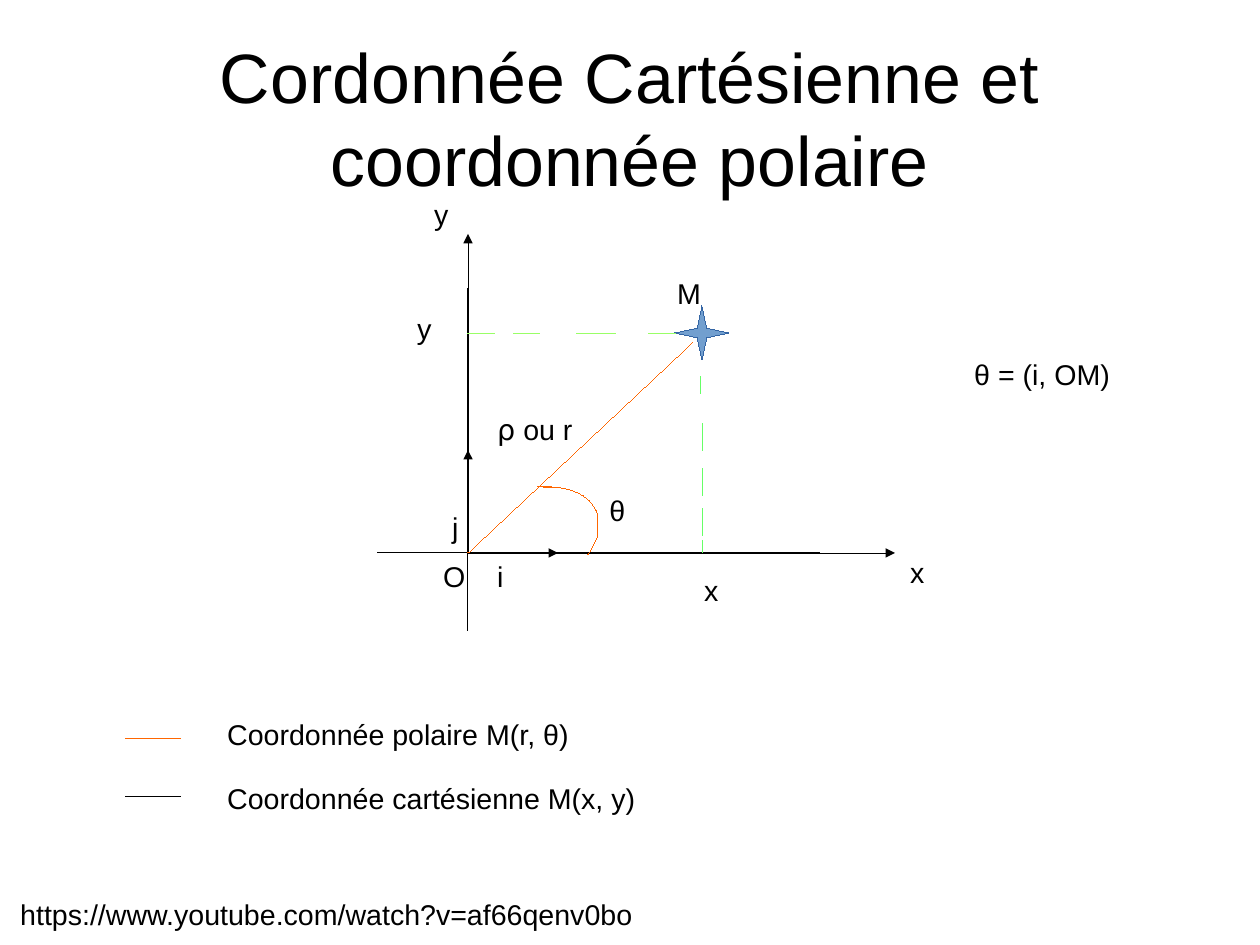
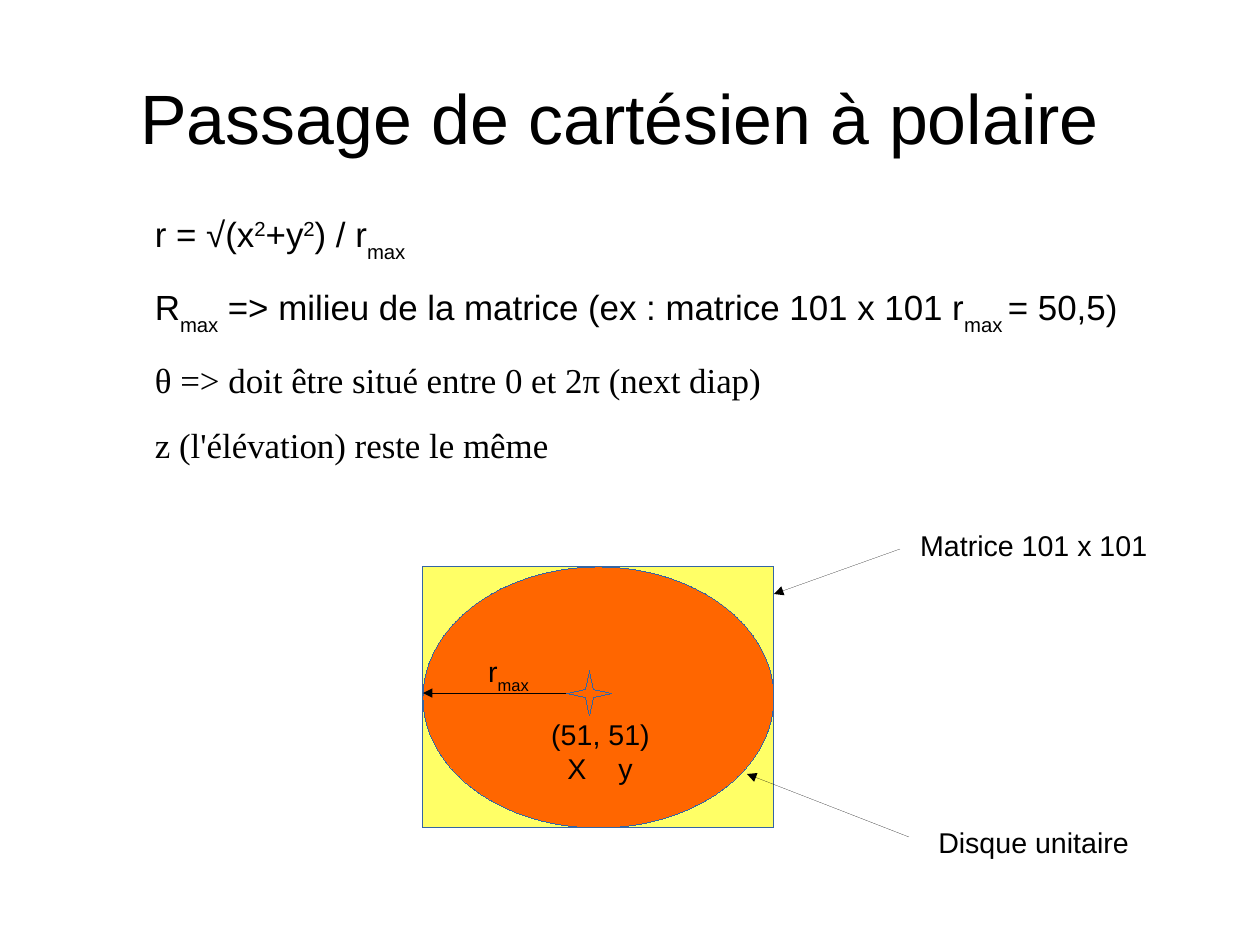
"""Build two slides on Cartesian and polar coordinates."""
from lxml.etree import SubElement
from pptx import Presentation
from pptx.dml.color import RGBColor as Rgb
from pptx.enum.shapes import MSO_CONNECTOR as Link, MSO_SHAPE as Preset
from pptx.enum.text import MSO_ANCHOR as Anchor, PP_ALIGN as Align
from pptx.oxml.ns import qn
from pptx.util import Pt

PX = 8000
HAIRLINE = 1
SLIDE = (1260, 945)
COLORS = {
    "black": "000000", "orange": "FF6600", "yellow": "FFFF66", "blue": "729FCF",
    "outline": "3465A4", "lime": "99FF66", "green": "66FF66",
}
TITLE_BOX = (63, 38, 1134, 158)
LABEL_HEIGHT = 43
INSETS = ("margin_left", "margin_top", "margin_right", "margin_bottom")
TITLE = {"size": Pt(44), "name": "Arial"}
BODY = {"size": Pt(22), "name": "Arial"}
SERIF = {"size": Pt(22), "name": "Times New Roman"}
LABEL = {"size": Pt(18), "name": "Arial"}
GREEK = {"size": Pt(18), "name": "DejaVu Sans"}
SUPER, SUB = 33000, -33000

ORIGIN_X, ORIGIN_Y = 468, 553
POINT_X, POINT_Y = 702, 333
X_DASHES = [(468, 495), (513, 540), (576, 616), (648, 675)]
Y_DASHES = [(423, 450), (468, 495), (509, 536), (540, 553)]
AXIS_LINES = [
    (ORIGIN_X, 288, ORIGIN_X, 630, "black", False),
    (820, ORIGIN_Y, 378, ORIGIN_Y, "black", False),
    (ORIGIN_X, ORIGIN_Y, ORIGIN_X, 450, "black", True),
    (ORIGIN_X, ORIGIN_Y, 558, ORIGIN_Y, "black", True),
    (553, ORIGIN_Y, 895, ORIGIN_Y, "black", True),
    (ORIGIN_X, 548, ORIGIN_X, 234, "black", True),
]
DASH_LINES = [(a, POINT_Y, b, POINT_Y, "lime", False) for a, b in X_DASHES] + [
    (POINT_X, a, POINT_X, b, "green", False) for a, b in Y_DASHES
] + [(701, 377, 701, 394, "green", False)]
POLAR_LINES = [
    (ORIGIN_X, ORIGIN_Y, 693, 342, "orange", False),
    (538, 486, 552, 486, "orange", False),
]
LEGEND_LINES = [
    (126, 738, 180, 738, "orange", False),
    (126, 797, 180, 797, "black", False),
]
ANGLE_CURVE = [(544, 488), (565, 485), (591, 493), (598, 515)]
ANGLE_END = [(598, 536), (588, 555)]
ANGLE_STEPS = 16

AXIS_LABELS = [
    (423, 191, 37, "y"), (899, 549, 37, "x"), (432, 553, 45, "O"),
    (486, 553, 29, "i"), (441, 504, 29, "j"), (666, 270, 47, "M"),
    (693, 567, 37, "x"), (598, 487, 39, "θ"),
    (963, 351, 170, "θ = (i, OM)"),
    (216, 711, 380, "Coordonnée polaire M(r, θ)"),
    (216, 775, 450, "Coordonnée cartésienne M(x, y)"),
    (9, 891, 783, "https://www.youtube.com/watch?v=af66qenv0bo"),
]
ORDINATE = (406, 306, 34, "y")
ORDINATE_TILT = 1.7
RADIUS_BOX = (486, 406, 110, LABEL_HEIGHT)
RADIUS = [[("ρ", GREEK, 0), (" ou r", LABEL, 0)]]

FORMULA_BOX = (155, 213, 1060, 238)
FORMULAS = [
    [("r = √(x", BODY, 0), ("2", BODY, SUPER), ("+y", BODY, 0),
     ("2", BODY, SUPER), (") / r", BODY, 0), ("max", BODY, SUB)],
    [("R", BODY, 0), ("max", BODY, SUB),
     (" => milieu de la matrice (ex : matrice 101 x 101 r", BODY, 0),
     ("max ", BODY, SUB), ("= 50,5)", BODY, 0)],
    [("θ => doit être situé entre 0 et 2π (next diap)", SERIF, 0)],
    [("z (l'élévation) reste le même", SERIF, 0)],
]
MATRIX = (423, 567, 351, 261)
MATRIX_LINES = [
    (594, 693, 423, 693, "black", True),
    (900, 549, 774, 594, "black", True),
    (909, 837, 747, 774, "black", True),
]
MATRIX_LABELS = [(909, 522, 280, "Matrice 101 x 101"), (927, 819, 240, "Disque unitaire")]
RMAX_BOX = (477, 648, 90, 50)
RMAX = [[("r", LABEL, 0), ("max", LABEL, SUB)]]
CENTER_BOX = (540, 711, 140, 76)
CENTER = [[("(51, 51)", LABEL, 0)], [("\tX\ty", LABEL, 0)]]
CENTER_TABS = (16, 67)


def emu(values):
    return [round(value * PX) for value in values]


def color(name):
    return Rgb.from_string(COLORS[name])


def set_line(line, name):
    line.color.rgb = color(name)
    line.width = HAIRLINE


def add_text(page, area, paras, wrap=False, inset=True, anchor=Anchor.TOP,
             align=Align.LEFT, after=0, tabs=()):
    box = page.shapes.add_textbox(*emu(area))
    frame = box.text_frame
    frame.word_wrap = wrap
    frame.vertical_anchor = anchor
    if not inset:
        for side in INSETS:
            setattr(frame, side, 0)
    for index, spans in enumerate(paras):
        para = frame.add_paragraph() if index else frame.paragraphs[0]
        para.alignment = align
        para.space_after = Pt(after)
        if tabs and index:
            stops = SubElement(para._p.get_or_add_pPr(), qn("a:tabLst"))
            for stop in emu(tabs):
                SubElement(stops, qn("a:tab"), pos=str(stop), algn="l")
        for text, font, baseline in spans:
            span = para.add_run()
            span.text = text
            for key, value in font.items():
                setattr(span.font, key, value)
            span.font.color.rgb = color("black")
            if baseline:
                span._r.get_or_add_rPr().set("baseline", str(baseline))
    return box


def add_label(page, left, top, width, text):
    return add_text(page, (left, top, width, LABEL_HEIGHT), [[(text, LABEL, 0)]])


def add_lines(page, lines):
    for *ends, name, arrow in lines:
        link = page.shapes.add_connector(Link.STRAIGHT, *emu(ends))
        set_line(link.line, name)
        if arrow:
            SubElement(link.line._get_or_add_ln(), qn("a:tailEnd"), type="triangle")
        SubElement(link._element.spPr, qn("a:effectLst"))


def add_preset(page, kind, area, fill):
    shape = page.shapes.add_shape(kind, *emu(area))
    shape.shadow.inherit = False
    shape.fill.solid()
    shape.fill.fore_color.rgb = color(fill)
    set_line(shape.line, "outline")


def curve_point(points, t):
    weights = ((1 - t) ** 3, 3 * t * (1 - t) ** 2, 3 * t * t * (1 - t), t ** 3)
    return [sum(w * p[axis] for w, p in zip(weights, points)) for axis in (0, 1)]


def add_angle(page):
    curve = [curve_point(ANGLE_CURVE, step / ANGLE_STEPS) for step in range(ANGLE_STEPS + 1)]
    start, *others = [emu(point) for point in curve + ANGLE_END]
    builder = page.shapes.build_freeform(*start)
    builder.add_line_segments(others, close=False)
    angle = builder.convert_to_shape()
    angle.shadow.inherit = False
    angle.fill.background()
    set_line(angle.line, "orange")


def add_page(deck, title):
    page = deck.slides.add_slide(deck.slide_layouts[6])
    add_text(page, TITLE_BOX, [[(title, TITLE, 0)]], wrap=True, inset=False,
             anchor=Anchor.MIDDLE, align=Align.CENTER)
    return page


def build_coordinates(deck):
    page = add_page(deck, "Cordonnée Cartésienne et coordonnée polaire")
    add_lines(page, AXIS_LINES)
    add_preset(page, Preset.STAR_4_POINT, (POINT_X - 27, POINT_Y - 27, 54, 54), "blue")
    add_lines(page, DASH_LINES + POLAR_LINES + LEGEND_LINES)
    add_angle(page)
    for label in AXIS_LABELS:
        add_label(page, *label)
    add_label(page, *ORDINATE).rotation = ORDINATE_TILT
    add_text(page, RADIUS_BOX, RADIUS)


def build_conversion(deck):
    page = add_page(deck, "Passage de cartésien à polaire ")
    add_text(page, FORMULA_BOX, FORMULAS, wrap=True, inset=False, after=14.2)
    add_preset(page, Preset.RECTANGLE, MATRIX, "yellow")
    add_preset(page, Preset.OVAL, MATRIX, "orange")
    add_lines(page, MATRIX_LINES)
    add_preset(page, Preset.STAR_4_POINT, (567, 671, 45, 45), "orange")
    for label in MATRIX_LABELS:
        add_label(page, *label)
    add_text(page, RMAX_BOX, RMAX)
    add_text(page, CENTER_BOX, CENTER, tabs=CENTER_TABS)


def main():
    deck = Presentation()
    deck.slide_width, deck.slide_height = emu(SLIDE)
    build_coordinates(deck)
    build_conversion(deck)
    deck.save("out.pptx")


if __name__ == "__main__":
    main()
